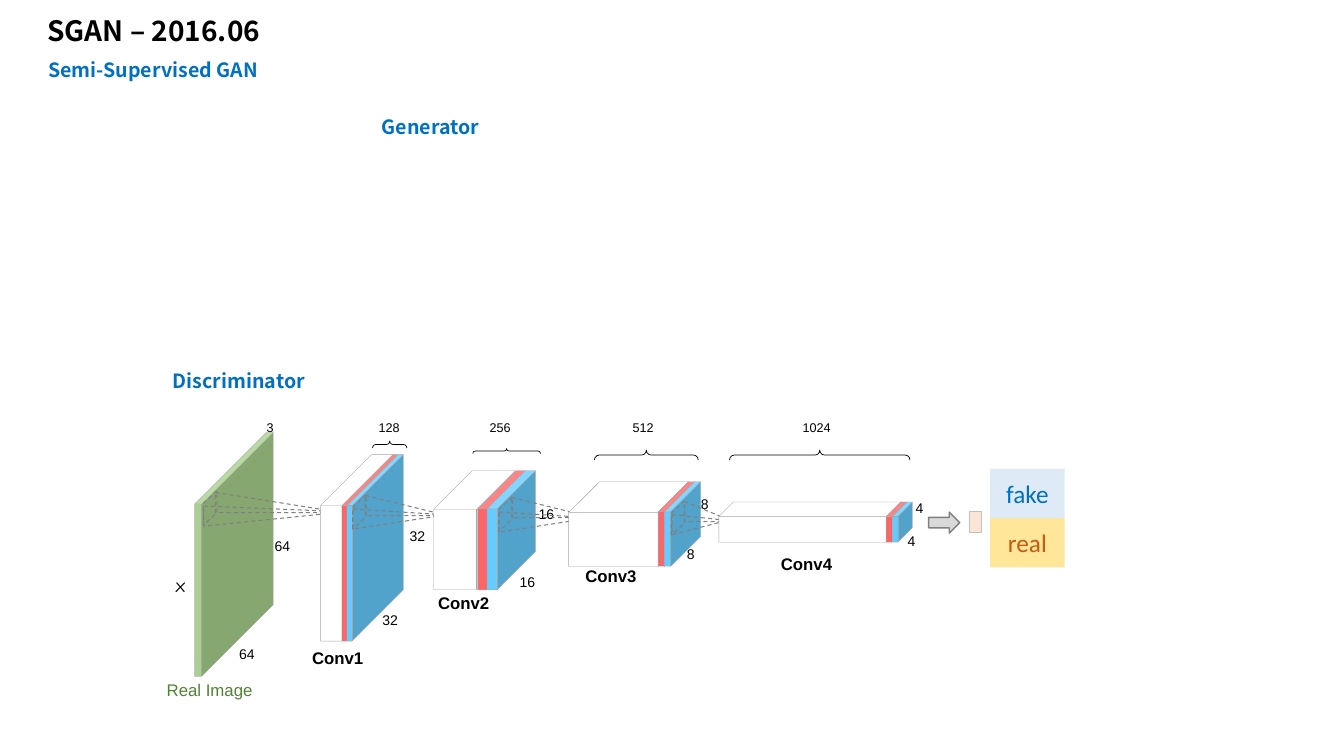
from dataclasses import dataclass

from lxml import etree
from pptx import Presentation
from pptx.dml.color import RGBColor
from pptx.enum import dml, shapes, text
from pptx.util import Inches, Pt

COLORS = {
    "black": "000000", "white": "FFFFFF", "blue": "0070C0", "green": "548235",
    "image": "A9D18E", "red_slab": "FD6666", "blue_slab": "66CCFF",
    "edge": "A6A6A6", "dash": "808080", "arrow": "D9D9D9",
    "output": "FBE5D6", "output_edge": "BFBFBF",
    "fake": "DEEBF7", "real": "FFE699", "real_text": "C55A11",
}
HEADING_FONT = "Noto Sans CJK SC"
SHAPE = shapes.MSO_SHAPE
ALIGN = text.PP_ALIGN
Box = tuple[float, float, float, float]


@dataclass
class Conv:
    """White block plus a red and a blue slab at its right end."""
    top: float
    height: float
    block_left: float
    block_width: float
    block_depth: float
    slab_lefts: tuple[float, float]
    slab_width: float
    slab_depth: float


@dataclass
class Field:
    """Dashed receptive field: a window and two cones to the next layer."""
    window: tuple[float, float]
    upper_cone: tuple[float, float, float]
    lower_cone: tuple[float, float, float]


@dataclass
class Label:
    text: str
    x: float
    y: float
    size: float = 10
    color: str = "black"
    bold: bool = False
    font: str = "Arial"


CONVS = [
    Conv(4.51, 1.85, 3.18, 0.72, 0.702, (3.39, 3.44), 0.56, 0.907),
    Conv(4.67, 1.18, 4.3, 0.81, 0.472, (4.74, 4.83), 0.48, 0.789),
    Conv(4.78, 0.84, 5.64, 1.19, 0.364, (6.53, 6.59), 0.36, 0.83),
    Conv(4.98, 0.4, 7.13, 1.81, 0.364, (8.79, 8.85), 0.2, 0.723),
]
FIELDS = [
    Field((1.92, 4.96), (2.66, 4.36, 1.25), (2.62, 4.42, 1.4)),
    Field((3.4, 5), (3.93, 4.61, 0.81), (3.86, 4.69, 0.92)),
    Field((4.85, 5.02), (5.38, 4.63, 0.81), (5.31, 4.72, 0.92)),
    Field((6.56, 5.06), (6.93, 4.83, 0.49), (6.84, 4.93, 0.55)),
]
BRACES = [(3.83, 4.24, 0.07, 0.34), (5, 4.14, 0.05, 0.67),
          (6.36, 4, 0.1, 1.03), (8.08, 3.62, 0.1, 1.79)]
CHANNELS = [("3", 2.68), ("128", 3.86), ("256", 4.96), ("512", 6.38), ("1024", 8.1)]
SIZES = [
    ("64", 2.8, 5.42), ("64", 2.45, 6.49), ("32", 4.14, 5.32), ("32", 3.87, 6.15),
    ("16", 5.42, 5.1), ("16", 5.23, 5.77), ("8", 6.99, 5), ("8", 6.85, 5.5),
    ("4", 9.12, 5.04), ("4", 9.04, 5.37),
]
CONV_NAMES = [("Conv1", 3.35, 6.53), ("Conv2", 4.6, 5.98),
              ("Conv3", 6.06, 5.71), ("Conv4", 8, 5.59)]
LABELS = (
    [Label(t, x, 4.24, 9) for t, x in CHANNELS]
    + [Label(*size) for size in SIZES]
    + [Label(*name, size=12, bold=True) for name in CONV_NAMES]
    + [Label("x", 1.79, 5.8, 14, font="Comic Neue"),
       Label("Real Image", 2.08, 6.84, 12, "green")]
)


def rgb(name: str) -> RGBColor:
    return RGBColor.from_string(COLORS[name])


def place(sp, box: Box) -> None:
    sp.left, sp.top, sp.width, sp.height = map(Inches, box)


def write(sp, content: str, size: float, color: str, font: str, bold: bool = False,
          align=ALIGN.CENTER, anchor=text.MSO_ANCHOR.MIDDLE) -> None:
    tf = sp.text_frame
    tf.word_wrap = True
    tf.vertical_anchor = anchor
    p = tf.paragraphs[0]
    p.alignment = align
    r = p.add_run()
    r.text = content
    r.font.size, r.font.bold, r.font.name = Pt(size), bold, font
    r.font.color.rgb = rgb(color)
    props = r.font._element
    for tag in ("ea", "cs"):
        node = etree.SubElement(props, props.nsmap["a"].join("{}") + tag)
        node.set("typeface", font)


def add_heading(s, content: str, box: Box, align=ALIGN.CENTER) -> None:
    sp = s.shapes.add_textbox(*map(Inches, box))
    write(sp, content, 14, "blue", HEADING_FONT, True, align, text.MSO_ANCHOR.TOP)


def add_label(s, label: Label) -> None:
    """Centre a small text on the label's point."""
    w, h = 1.2, 0.26
    sp = s.shapes.add_textbox(*map(Inches, (label.x - w / 2, label.y - h / 2, w, h)))
    tf = sp.text_frame
    tf.margin_left = tf.margin_right = tf.margin_top = tf.margin_bottom = 0
    write(sp, label.text, label.size, label.color, label.font, label.bold)


def add_figure(s, kind, box: Box, fill: str | None = None, line: str | None = None,
               width: float = 0.25, adj: tuple[float, ...] = (), rotation: float = 0,
               dashed: bool = False):
    sp = s.shapes.add_shape(kind, *map(Inches, box))
    sp.shadow.inherit = False
    sp.rotation = rotation
    for i, value in enumerate(adj):
        sp.adjustments[i] = value
    if fill:
        sp.fill.solid()
        sp.fill.fore_color.rgb = rgb(fill)
    else:
        sp.fill.background()
    if line:
        sp.line.color.rgb = rgb(line)
        sp.line.width = Pt(width)
        if dashed:
            sp.line.dash_style = dml.MSO_LINE.DASH
    else:
        sp.line.fill.background()
    return sp


def add_cube(s, box: Box, fill: str, depth: float) -> None:
    add_figure(s, SHAPE.CUBE, box, fill, "edge", adj=(depth,))


def add_conv(s, conv: Conv) -> None:
    add_cube(s, (conv.block_left, conv.top, conv.block_width, conv.height),
             "white", conv.block_depth)
    for left, fill in zip(conv.slab_lefts, ("red_slab", "blue_slab")):
        add_cube(s, (left, conv.top, conv.slab_width, conv.height), fill, conv.slab_depth)


def add_field(s, field: Field) -> None:
    add_figure(s, SHAPE.PARALLELOGRAM, (*field.window, 0.33, 0.16), None, "dash", 0.75,
               (0.93,), 317.2, True)
    for (x, y, length), apex in ((field.upper_cone, 1), (field.lower_cone, 0.29)):
        add_figure(s, SHAPE.ISOSCELES_TRIANGLE, (x, y, 0.2, length), None, "dash", 0.75,
                   (apex,), 90, True)


def main() -> None:
    prs = Presentation()
    prs.slide_width, prs.slide_height = Inches(13.33), Inches(7.5)
    s = prs.slides.add_slide(prs.slide_layouts[5])

    title = s.shapes.title
    place(title, (0.37, 0.08, 4.99, 0.44))
    write(title, "SGAN – 2016.06", 20, "black", HEADING_FONT, True,
          ALIGN.LEFT, text.MSO_ANCHOR.TOP)
    add_heading(s, "Semi-Supervised GAN", (0.38, 0.53, 3.12, 0.34), ALIGN.LEFT)
    add_heading(s, "Generator", (3.44, 1.09, 1.66, 0.34))
    add_heading(s, "Discriminator", (1.54, 3.61, 1.66, 0.34))

    add_cube(s, (1.93, 4.29, 0.78, 2.42), "image", 0.911)
    for box in BRACES:
        add_figure(s, SHAPE.LEFT_BRACE, box, None, "black", 0.5, (0.466, 0.5), 90)
    for label in LABELS:
        add_label(s, label)
    for field, conv in zip(FIELDS, CONVS):
        add_field(s, field)
        add_conv(s, conv)

    add_figure(s, SHAPE.RIGHT_ARROW, (9.21, 5.08, 0.31, 0.21), "arrow", "dash", 1)
    add_figure(s, SHAPE.RECTANGLE, (9.61, 5.07, 0.12, 0.21), "output", "output_edge")
    for row, (verdict, color) in enumerate((("fake", "blue"), ("real", "real_text"))):
        box = (9.82, 4.65 + row * 0.49, 0.74, 0.49)
        sp = add_figure(s, SHAPE.RECTANGLE, box, verdict)
        write(sp, verdict, 18, color, "Calibri")

    prs.save("out.pptx")


if __name__ == "__main__":
    main()
